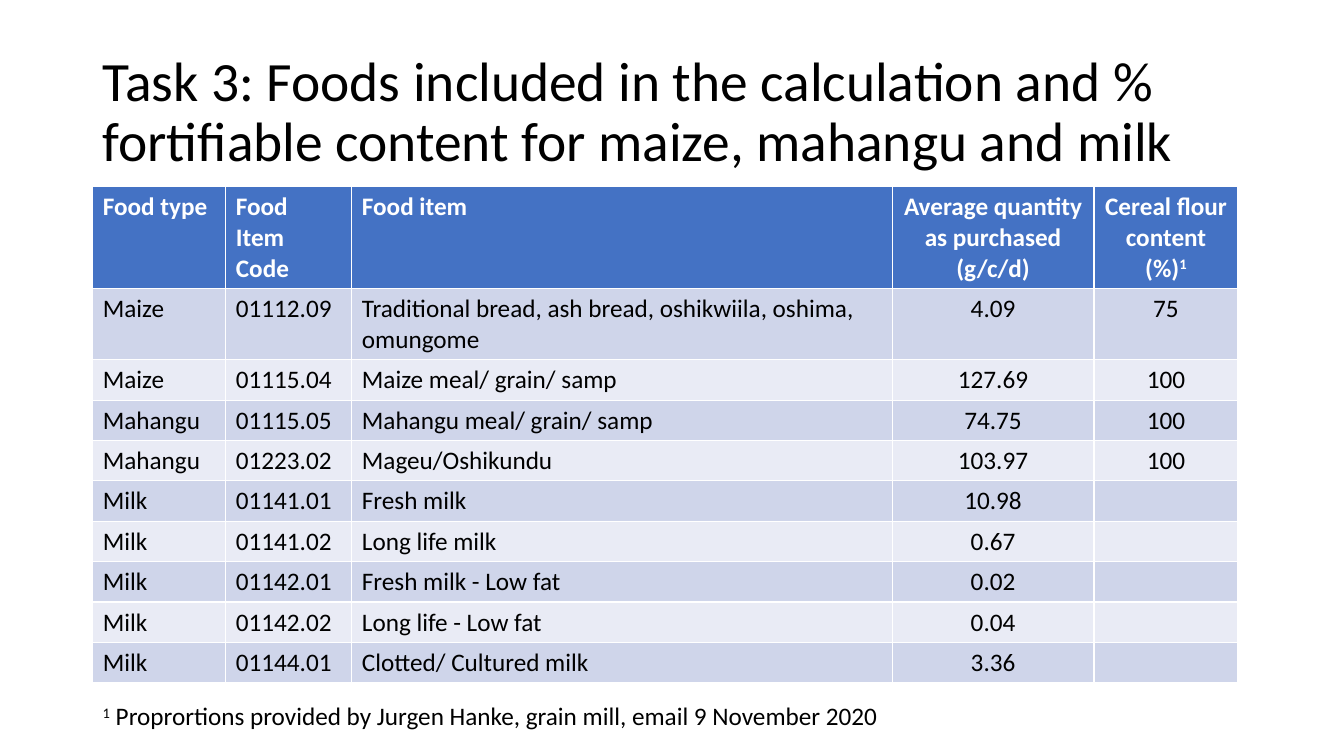
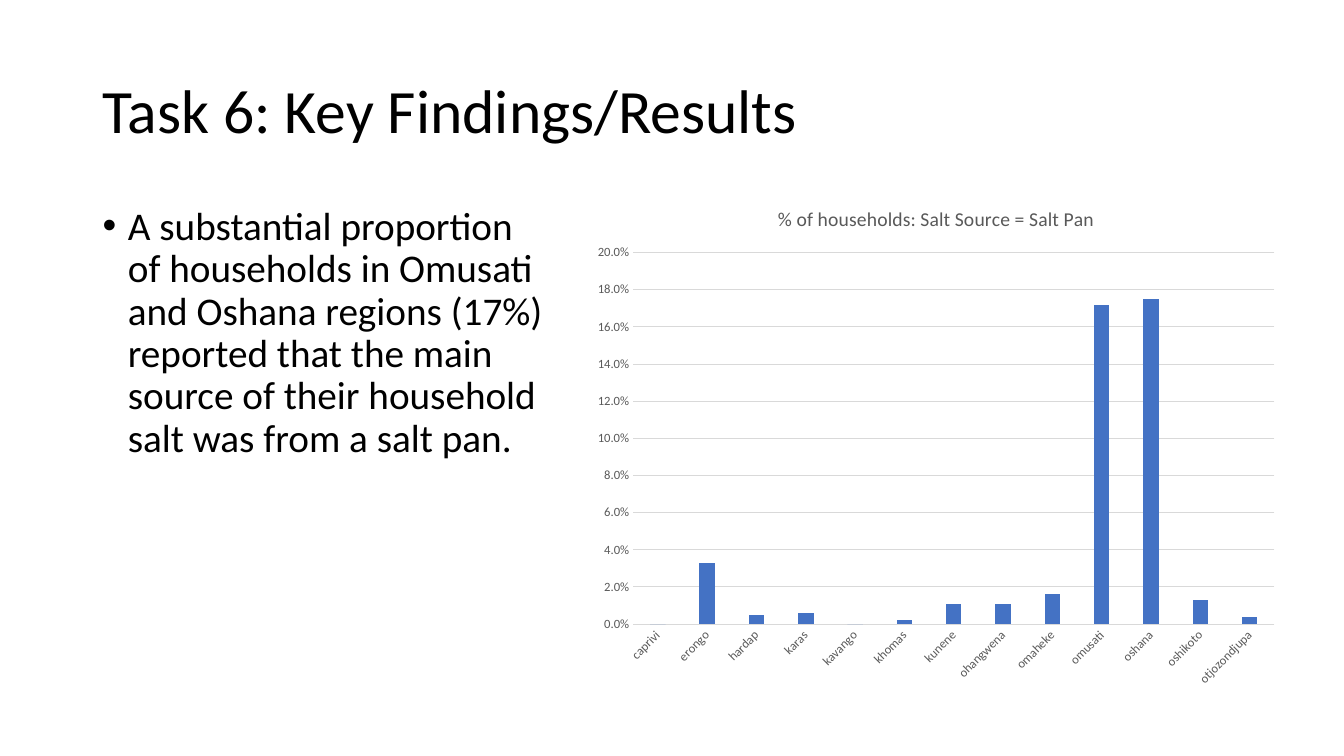
"""Build two slides on fortifiable foods and household salt sources."""
from dataclasses import dataclass

from lxml import etree
from pptx import Presentation
from pptx.chart.data import CategoryChartData
from pptx.dml.color import RGBColor
from pptx.enum.chart import XL_CHART_TYPE as ChartType, XL_TICK_MARK as TickMark
from pptx.enum.text import MSO_ANCHOR as Anchor, PP_ALIGN as Align
from pptx.oxml.ns import qn
from pptx.util import Inches, Pt

FONT = "Calibri"
COLORS = {
    "text": "000000",
    "header_text": "FFFFFF",
    "accent": "4472C4",
    "band_dark": "CFD5EA",
    "band_light": "E9EBF5",
    "chart_text": "595959",
    "chart_line": "D9D9D9",
}
LEFT = 0.92


@dataclass(frozen=True)
class Box:
    left: float
    top: float
    width: float
    height: float

    def lengths(self):
        return [Inches(v) for v in (self.left, self.top, self.width, self.height)]


@dataclass(frozen=True)
class Column:
    heading: str
    width: float
    align: Align = Align.LEFT
    note: str = ""


@dataclass(frozen=True)
class Food:
    kind: str
    code: str
    item: str
    quantity: str
    flour: str = ""


TITLE_BOX = Box(LEFT, 0.4, 11.5, 1.45)
TABLE_BOX = Box(LEFT, 1.85, 11.36, 4.92)
FOOTNOTE_BOX = Box(LEFT, 6.9, 11.5, 0.4)
FINDING_BOX = Box(LEFT, 2, 4.65, 4.76)
CHART_BOX = Box(5.79, 1.85, 6.99, 5.05)
PLOT_AREA = {"x": 0.07, "y": 0.13, "w": 0.91, "h": 0.73}
HEADER_HEIGHT, TALL_ROW_HEIGHT, ROW_HEIGHT = 1.01, 0.71, 0.4

COLUMNS = [
    Column("Food type", 1.32),
    Column("Food Item Code", 1.25),
    Column("Food item", 5.36),
    Column("Average quantity as purchased (g/c/d)", 2, Align.CENTER),
    Column("Cereal flour content (%)", 1.43, Align.CENTER, "1"),
]
FOODS = [
    Food("Maize", "01112.09",
         "Traditional bread, ash bread, oshikwiila, oshima, omungome", "4.09", "75"),
    Food("Maize", "01115.04", "Maize meal/ grain/ samp", "127.69", "100"),
    Food("Mahangu", "01115.05", "Mahangu meal/ grain/ samp", "74.75", "100"),
    Food("Mahangu", "01223.02", "Mageu/Oshikundu", "103.97", "100"),
    Food("Milk", "01141.01", "Fresh milk", "10.98"),
    Food("Milk", "01141.02", "Long life milk", "0.67"),
    Food("Milk", "01142.01", "Fresh milk - Low fat", "0.02"),
    Food("Milk", "01142.02", "Long life - Low fat", "0.04"),
    Food("Milk", "01144.01", "Clotted/ Cultured milk", "3.36"),
]
SALT_PAN_SHARE = {
    "caprivi": 0, "erongo": 0.033, "hardap": 0.005, "karas": 0.006,
    "kavango": 0, "khomas": 0.002, "kunene": 0.011, "ohangwena": 0.011,
    "omaheke": 0.016, "omusati": 0.172, "oshana": 0.175,
    "oshikoto": 0.013, "otjozondjupa": 0.004,
}


def rgb(key: str) -> RGBColor:
    return RGBColor.from_string(COLORS[key])


def style_font(font, size: float, color: str = "text", bold: bool = False) -> None:
    font.name, font.size, font.bold = FONT, Pt(size), bold
    font.color.rgb = rgb(color)


def style_runs(paragraph, size: float, color: str = "text", bold: bool = False) -> None:
    for run in paragraph.runs:
        style_font(run.font, size, color, bold)


def raise_run(run) -> None:
    run.font._element.set("baseline", "30000")


def add_text(slide, box: Box, text: str, size: float, spacing: float = 1.0,
             anchor: Anchor = Anchor.TOP):
    frame = slide.shapes.add_textbox(*box.lengths()).text_frame
    frame.word_wrap = True
    frame.vertical_anchor = anchor
    frame.text = text
    paragraph = frame.paragraphs[0]
    paragraph.line_spacing = spacing
    style_runs(paragraph, size)
    return paragraph


def add_titled_slide(deck, title: str, size: float):
    slide = deck.slides.add_slide(deck.slide_layouts[6])
    add_text(slide, TITLE_BOX, title, size, 0.9, Anchor.MIDDLE)
    return slide


def fill_cell(cell, text: str, align: Align, fill: str, header: bool = False,
              note: str = "") -> None:
    cell.fill.solid()
    cell.fill.fore_color.rgb = rgb(fill)
    paragraph = cell.text_frame.paragraphs[0]
    paragraph.alignment = align
    if not text:
        return
    paragraph.text = text
    if note:
        mark = paragraph.add_run()
        mark.text = note
        raise_run(mark)
    style_runs(paragraph, 18, "header_text" if header else "text", header)


def add_food_table(slide) -> None:
    table = slide.shapes.add_table(
        len(FOODS) + 1, len(COLUMNS), *TABLE_BOX.lengths()).table
    heights = [HEADER_HEIGHT, TALL_ROW_HEIGHT] + [ROW_HEIGHT] * (len(FOODS) - 1)
    for row, height in zip(table.rows, heights):
        row.height = Inches(height)
    for c, column in enumerate(COLUMNS):
        table.columns[c].width = Inches(column.width)
        fill_cell(table.cell(0, c), column.heading, column.align, "accent", True,
                  column.note)
    for r, food in enumerate(FOODS, 1):
        band = "band_dark" if r % 2 else "band_light"
        values = (food.kind, food.code, food.item, food.quantity, food.flour)
        for c, (column, value) in enumerate(zip(COLUMNS, values)):
            fill_cell(table.cell(r, c), value, column.align, band)


def add_footnote(slide) -> None:
    footnote = add_text(slide, FOOTNOTE_BOX, "1", 18)
    raise_run(footnote.runs[0])
    source = footnote.add_run()
    source.text = " Proprortions provided by Jurgen Hanke, grain mill, email 9 November 2020"
    style_font(source.font, 18)


def add_finding(slide, text: str) -> None:
    finding = add_text(slide, FINDING_BOX, text, 28, 0.9)
    properties = finding._p.get_or_add_pPr()
    properties.set("marL", str(Inches(0.25)))
    properties.set("indent", str(-Inches(0.25)))
    etree.SubElement(properties, qn("a:buFont"), typeface="Arial")
    etree.SubElement(properties, qn("a:buChar"), char="•")


def place_plot(chart) -> None:
    plot_area = chart._chartSpace.chart.plotArea
    for old in plot_area.findall(qn("c:layout")):
        plot_area.remove(old)
    layout = etree.Element(qn("c:layout"))
    plot_area.insert(0, layout)
    manual = etree.SubElement(layout, qn("c:manualLayout"))
    settings = {"layoutTarget": "inner", "xMode": "edge", "yMode": "edge", **PLOT_AREA}
    for tag, value in settings.items():
        etree.SubElement(manual, qn(f"c:{tag}"), val=str(value))


def style_line(line, color: str) -> None:
    line.color.rgb = rgb(color)
    line.width = Pt(0.75)


def add_salt_chart(slide) -> None:
    data = CategoryChartData(number_format="0.0%")
    data.categories = list(SALT_PAN_SHARE)
    data.add_series("Series 1", list(SALT_PAN_SHARE.values()))
    chart = slide.shapes.add_chart(
        ChartType.COLUMN_CLUSTERED, *CHART_BOX.lengths(), data).chart
    style_font(chart.font, 10)
    chart.has_legend = False
    chart.has_title = True
    heading = chart.chart_title.text_frame
    heading.text = "% of households: Salt Source = Salt Pan"
    style_runs(heading.paragraphs[0], 14, "chart_text")
    chart.chart_title.include_in_layout = False

    plot = chart.plots[0]
    plot.gap_width, plot.overlap, plot.vary_by_categories = 219, -27, False
    columns = plot.series[0].format.fill
    columns.solid()
    columns.fore_color.rgb = rgb("accent")

    regions, shares = chart.category_axis, chart.value_axis
    for axis in (regions, shares):
        axis.major_tick_mark = axis.minor_tick_mark = TickMark.NONE
        style_font(axis.tick_labels.font, 9, "chart_text")
    style_line(regions.format.line, "chart_line")
    regions._element.find(qn("c:txPr")).find(qn("a:bodyPr")).set("rot", "-2700000")
    shares.format.line.fill.background()
    style_line(shares.major_gridlines.format.line, "chart_line")
    shares.minimum_scale, shares.maximum_scale, shares.major_unit = 0, 0.2, 0.02
    shares.tick_labels.number_format = "0.0%"
    shares.tick_labels.number_format_is_linked = False
    place_plot(chart)


def main() -> None:
    deck = Presentation()
    deck.slide_width, deck.slide_height = Inches(13.33), Inches(7.5)

    foods = add_titled_slide(
        deck, "Task 3: Foods included in the calculation and % fortifiable "
        "content for maize, mahangu and milk", 39.6)
    add_food_table(foods)
    add_footnote(foods)

    salt = add_titled_slide(deck, "Task 6: Key Findings/Results", 44)
    add_finding(salt, "A substantial proportion of households in Omusati and Oshana "
                "regions (17%) reported that the main source of their household "
                "salt was from a salt pan.")
    add_salt_chart(salt)

    deck.save("out.pptx")


if __name__ == "__main__":
    main()
